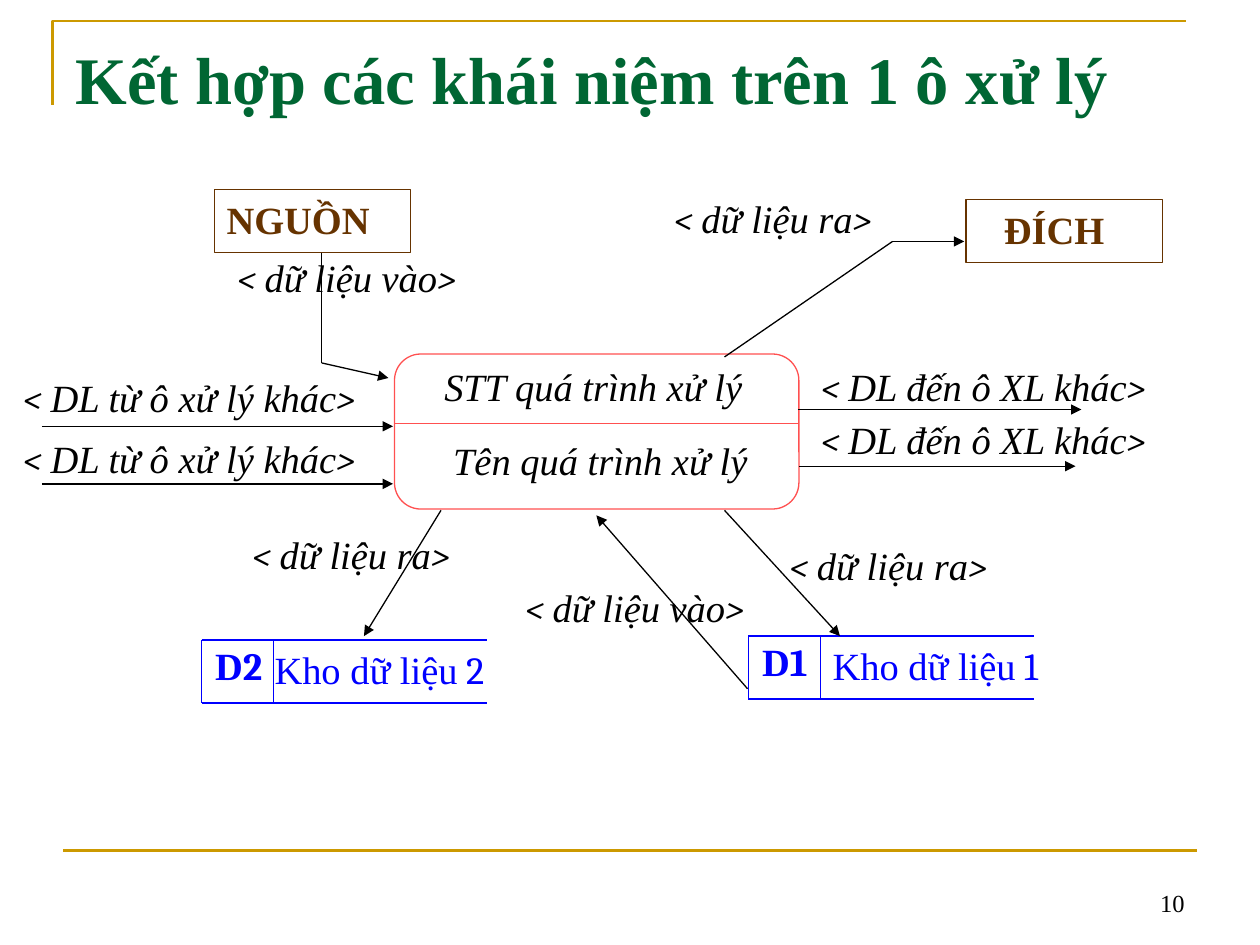
from lxml import etree
from pptx import Presentation
from pptx.dml.color import RGBColor
from pptx.enum.shapes import MSO_CONNECTOR, MSO_SHAPE
from pptx.enum.text import MSO_ANCHOR, MSO_AUTO_SIZE, PP_ALIGN
from pptx.oxml.ns import qn
from pptx.util import Pt

SERIF, SYMBOL = "Times New Roman", "Cambria"
BLACK, GREEN, GOLD = "000000", "006633", "CC9900"
BROWN, RED, BLUE, WHITE = "663300", "FF5050", "0000FF", "FFFFFF"

TITLE = "Kết hợp các khái niệm trên 1 ô xử lý"
PAGE_NUMBER = "10"

# All lengths are in points.
PROCESS = (225.4, 202.3, 231.1, 88.6)
PROCESS_DIVIDER_Y = 241.9
PROCESS_TEXTS = [  # text, box
    ("STT quá trình xử lý", (228, 204, 222, 36)),
    ("Tên quá trình xử lý", (236, 246, 214, 36)),
]

ENTITY_SIZE = (112.3, 36)
ENTITIES = [  # name, left, top, left margin
    ("NGUỒN", 122.4, 108.4, 7.2),
    ("ĐÍCH", 552, 114, 21.7),
]

STORE_WIDTH, STORE_HEIGHT, STORE_KEY_WIDTH = 163.3, 36, 41
STORES = [  # number, left, top, left of the name
    ("1", 427.7, 363.5, 468.7),
    ("2", 115.2, 365.8, 149.8),
]

FLOW_LABELS = [  # text, left, top, width
    ("DL từ ô xử lý khác", 6, 210, 228),
    ("DL từ ô xử lý khác", 6, 245, 228),
    ("DL đến ô XL khác", 462, 204, 246),
    ("DL đến ô XL khác", 462, 234, 246),
    ("dữ liệu vào", 128.4, 141.6, 163),
    ("dữ liệu ra", 378, 108, 163),
    ("dữ liệu ra", 137, 300, 163),
    ("dữ liệu ra", 444, 306, 163),
    ("dữ liệu vào", 293, 330, 163),
]

FLOWS = [  # points along the flow, arrowhead at the last
    [(183.8, 144.4), (183.8, 207.4), (222, 216)],
    [(24, 243.6), (224.6, 243.6)],
    [(24, 276.5), (224.6, 276.5)],
    [(414, 204), (510, 138), (551, 138)],
    [(456, 234), (618, 234)],
    [(456.5, 266.4), (614.6, 266.4)],
    [(252, 291.6), (208, 363.5)],
    [(414, 291.6), (480, 363.5)],
    [(427.2, 393.6), (340.8, 294.5)],
]


def rgb(value):
    return RGBColor.from_string(value)


def format_font(font, size, color, bold=False, italic=False):
    font.size, font.bold, font.italic = Pt(size), bold, italic
    font.color.rgb = rgb(color)


def write(frame, pieces, size=22, color=BLACK, align=PP_ALIGN.LEFT,
          anchor=MSO_ANCHOR.TOP, **style):
    """Fill a text frame with one paragraph of (text, font name) pieces."""
    frame.word_wrap = True
    frame.auto_size = MSO_AUTO_SIZE.NONE
    frame.vertical_anchor = anchor
    paragraph = frame.paragraphs[0]
    paragraph.alignment = align
    format_font(paragraph.font, size, color, **style)
    if len({name for _, name in pieces}) == 1:
        paragraph.font.name = pieces[0][1]
    for text, name in pieces:
        run = paragraph.add_run()
        run.text = text
        if paragraph.font.name is None:
            run.font.name = name


def add_text(shapes, box, pieces, **style):
    frame = shapes.add_textbox(*map(Pt, box)).text_frame
    write(frame, pieces, **style)
    return frame


def add_box(shapes, kind, box, color):
    shape = shapes.add_shape(kind, *map(Pt, box))
    shape.shadow.inherit = False
    shape.fill.solid()
    shape.fill.fore_color.rgb = rgb(WHITE)
    shape.line.color.rgb = rgb(color)
    shape.line.width = Pt(0.75)
    return shape


def add_line(shapes, start, end, color, width=0.75, arrow=False):
    line = shapes.add_connector(MSO_CONNECTOR.STRAIGHT, *map(Pt, start + end))
    line.line.color.rgb = rgb(color)
    line.line.width = Pt(width)
    properties = line._element.spPr
    if arrow:
        etree.SubElement(properties.find(qn("a:ln")), qn("a:tailEnd"), type="triangle")
    etree.SubElement(properties, qn("a:effectLst"))


def add_frame(shapes):
    """Draw the gold corner at the title and the gold rule at the foot."""
    builder = shapes.build_freeform(Pt(30), Pt(60))
    builder.add_line_segments([(Pt(30), Pt(12)), (Pt(678), Pt(12))], close=False)
    corner = builder.convert_to_shape()
    corner.shadow.inherit = False
    corner.fill.background()
    corner.line.color.rgb = rgb(GOLD)
    corner.line.width = Pt(1.5)
    add_line(shapes, (36, 486), (684, 486), GOLD, 1.5)


def add_process(shapes):
    left, _, width, _ = PROCESS
    box = add_box(shapes, MSO_SHAPE.ROUNDED_RECTANGLE, PROCESS, RED)
    box.adjustments[0] = 0.17
    add_line(shapes, (left, PROCESS_DIVIDER_Y), (left + width, PROCESS_DIVIDER_Y), RED)
    for text, place in PROCESS_TEXTS:
        add_text(shapes, place, [(text, SERIF)], align=PP_ALIGN.CENTER, italic=True)


def add_store(shapes, number, left, top, name_left):
    right, bottom = left + STORE_WIDTH, top + STORE_HEIGHT
    for y in (top, bottom):
        add_line(shapes, (left, y), (right, y), BLUE)
    for x in (left, left + STORE_KEY_WIDTH):
        add_line(shapes, (x, top), (x, bottom), BLUE)
    add_text(shapes, (name_left, top, 142.6, 36),
             [("Kho dữ liệu", SERIF), (f" {number}", SYMBOL)], color=BLUE)
    key = add_text(shapes, (left + 0.7, top - 2.5, 43, 30),
                   [("D", SERIF), (number, SYMBOL)], color=BLUE, bold=True)
    key.margin_right = 0


def main():
    presentation = Presentation()
    presentation.slide_width, presentation.slide_height = Pt(720), Pt(540)
    slide = presentation.slides.add_slide(presentation.slide_layouts[5])
    shapes = slide.shapes

    title = shapes.title
    title.left, title.top, title.width, title.height = map(Pt, (36, 18, 648, 68.4))
    write(title.text_frame, [(TITLE, SERIF)], size=38, color=GREEN, bold=True)
    add_frame(shapes)
    add_text(shapes, (516, 492, 168, 36), [(PAGE_NUMBER, SERIF)], size=14,
             align=PP_ALIGN.RIGHT, anchor=MSO_ANCHOR.BOTTOM)

    add_process(shapes)
    for name, left, top, margin in ENTITIES:
        entity = add_box(shapes, MSO_SHAPE.RECTANGLE, (left, top, *ENTITY_SIZE), BROWN)
        write(entity.text_frame, [(name, SERIF)], color=BROWN, bold=True)
        entity.text_frame.margin_left = Pt(margin)
    for store in STORES:
        add_store(shapes, *store)
    for points in FLOWS:
        for start, end in zip(points, points[1:]):
            add_line(shapes, start, end, BLACK, arrow=end == points[-1])
    for text, left, top, width in FLOW_LABELS:
        add_text(shapes, (left, top, width, 34),
                 [("< ", SYMBOL), (text, SERIF), (">", SYMBOL)], italic=True)

    presentation.save("out.pptx")


if __name__ == "__main__":
    main()
